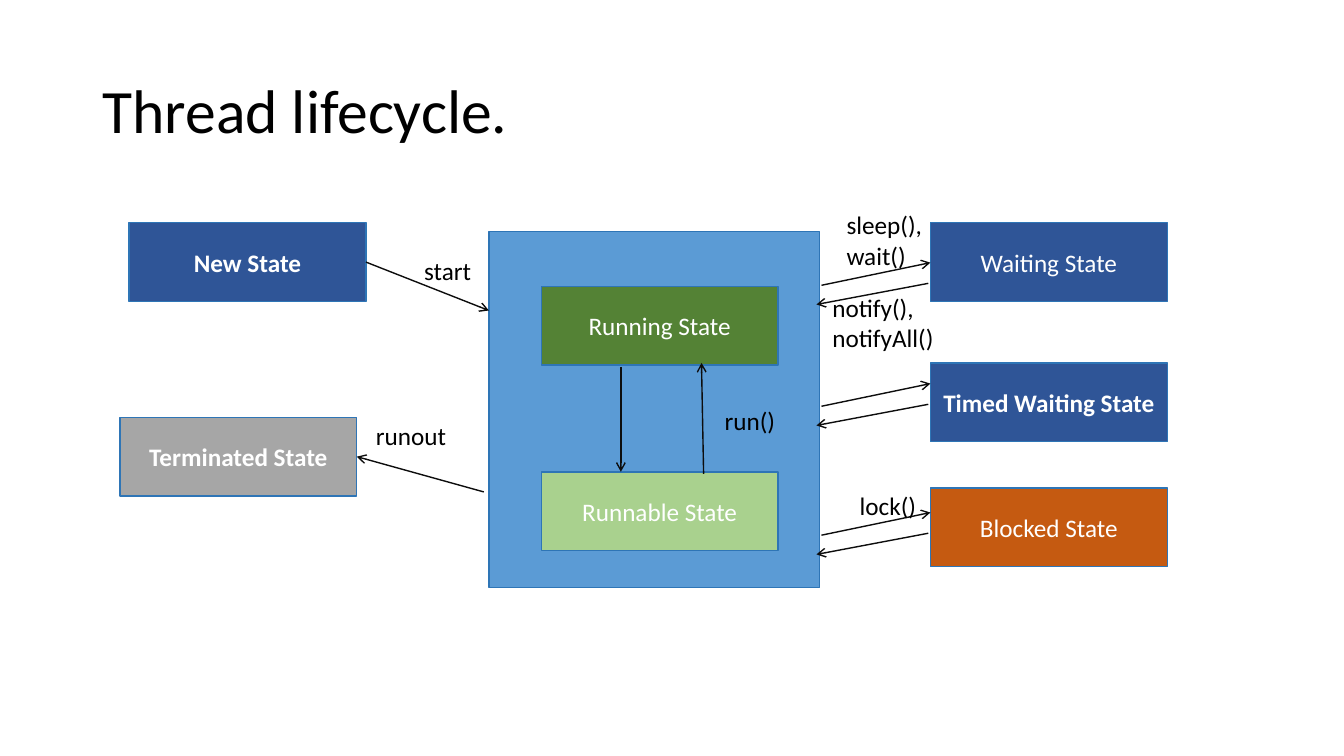
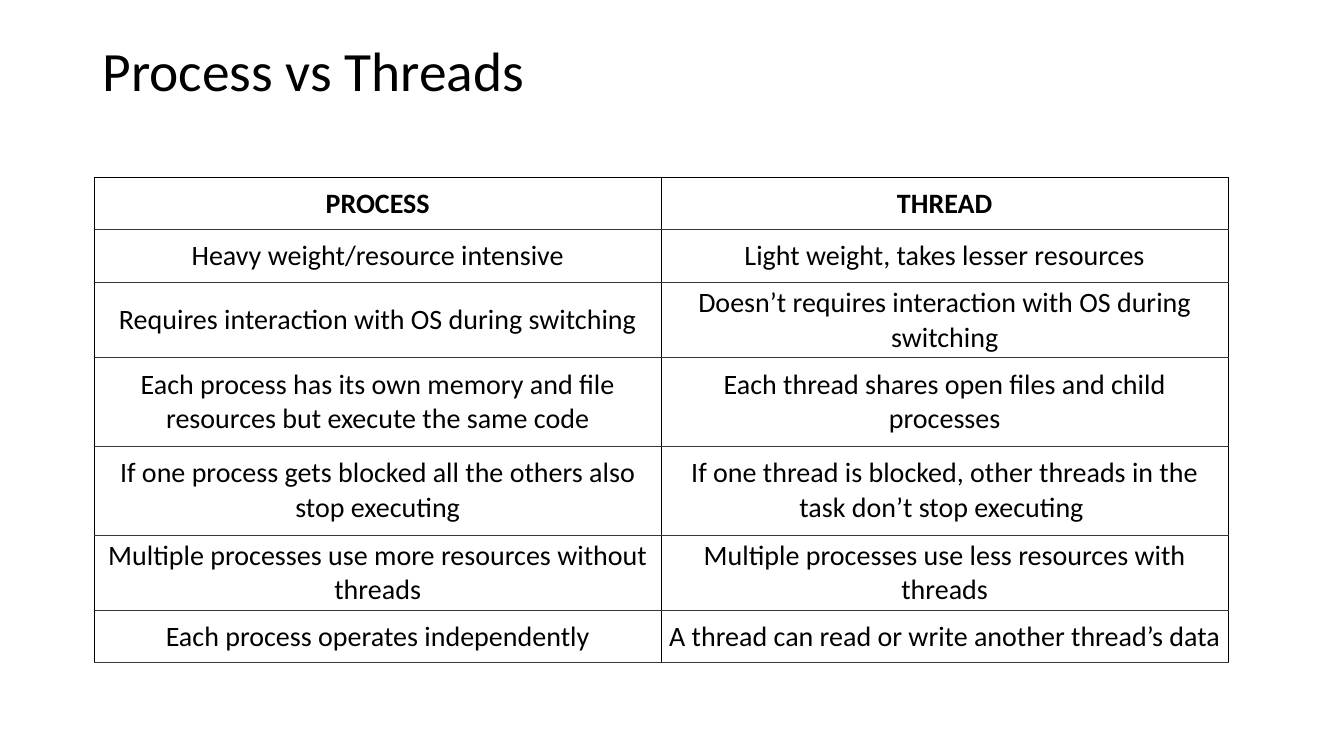
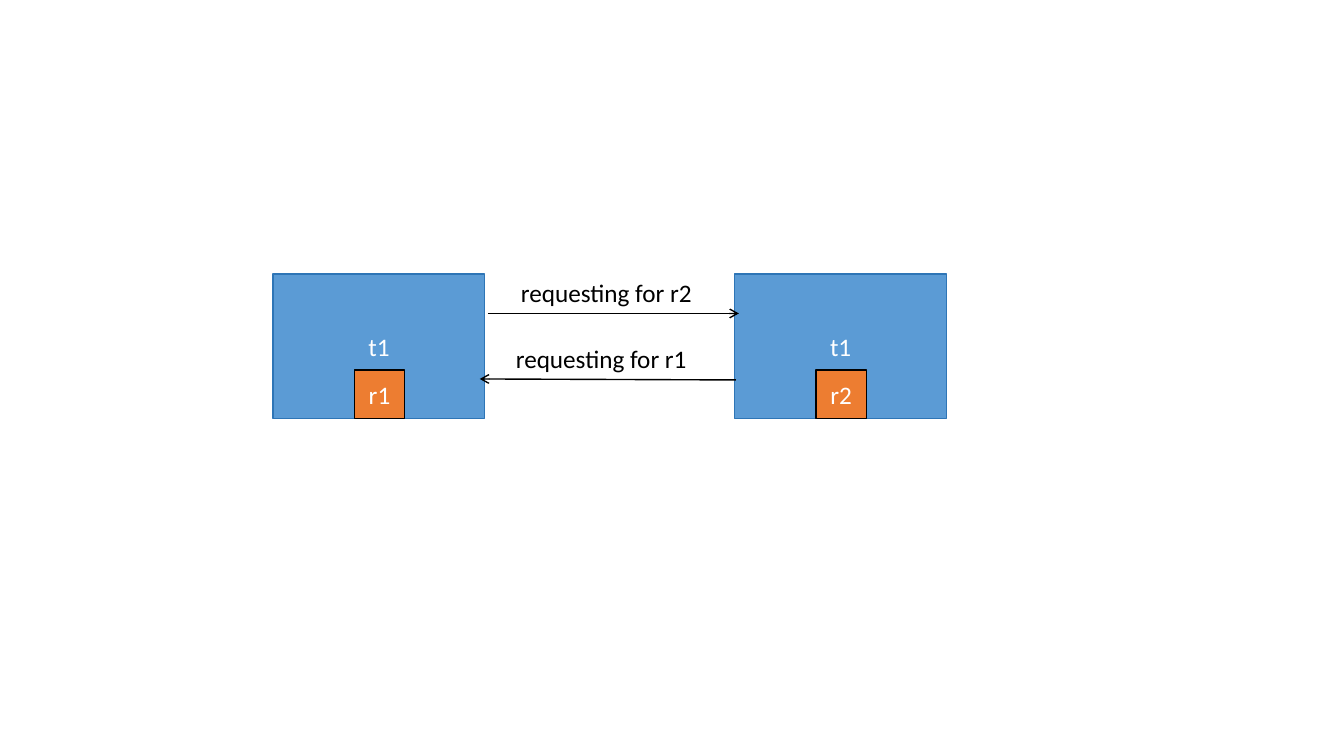
"""Build three slides on threads: lifecycle, comparison with processes, and deadlock."""
from dataclasses import dataclass
from typing import NamedTuple

from lxml.etree import SubElement
from pptx import Presentation
from pptx.dml.color import RGBColor
from pptx.enum.shapes import MSO_CONNECTOR, MSO_SHAPE
from pptx.enum.text import MSO_ANCHOR, MSO_AUTO_SIZE, PP_ALIGN
from pptx.oxml.ns import qn
from pptx.slide import Slide
from pptx.table import _Cell
from pptx.text.text import TextFrame
from pptx.util import Pt

FONT = "Calibri"
COLORS = {
    "black": "000000",
    "white": "FFFFFF",
    "arrow": "0D0D0D",
    "rule": "34383A",
    "outline": "2E75B6",
    "blue": "5B9BD5",
    "navy": "2F5597",
    "green": "548235",
    "light green": "A9D18E",
    "rust": "C55A11",
    "gray": "A6A6A6",
    "orange": "ED7D31",
}
STATE_WIDTH, STATE_HEIGHT = 169.2, 56.2
THREAD_WIDTH, THREAD_HEIGHT = 151.2, 103
COMPARISON = [
    ("PROCESS", "THREAD"),
    ("Heavy weight/resource intensive", "Light weight, takes lesser resources"),
    ("Requires interaction with OS during switching",
     "Doesn’t requires interaction with OS during switching"),
    ("Each process has its own memory and file resources but execute the same code",
     "Each thread shares open files and child processes"),
    ("If one process gets blocked all the others also stop executing",
     "If one thread is blocked, other threads in the task don’t stop executing "),
    ("Multiple processes use more resources without threads",
     "Multiple processes use less resources with threads"),
    ("Each process operates independently",
     "A thread can read or write another thread’s data"),
]
ROW_HEIGHTS = [37.4, 37.4, 39.6, 63.4, 63.4, 42.5, 37.4]
COLUMN_WIDTH = 405


@dataclass
class Box:
    """A filled rectangle with centred text."""

    text: str
    left: float
    top: float
    fill: str
    width: float = STATE_WIDTH
    height: float = STATE_HEIGHT
    bold: bool = False
    outline: str = "outline"


class Label(NamedTuple):
    """A caption beside an arrow."""

    text: str
    left: float
    top: float
    width: float
    height: float = 28.8


class Arrow(NamedTuple):
    """A straight arrow from one point to another."""

    x1: float
    y1: float
    x2: float
    y2: float


def rgb(color: str) -> RGBColor:
    """Look up a named colour."""
    return RGBColor.from_string(COLORS[color])


def write(frame: TextFrame, text: str, size: float = 18, color: str = "black",
          bold: bool = False, align: PP_ALIGN = PP_ALIGN.LEFT) -> None:
    """Set one paragraph of text and format it."""
    frame.word_wrap = True
    frame.text = text
    paragraph = frame.paragraphs[0]
    paragraph.alignment = align
    for run in paragraph.runs:
        run.font.name = FONT
        run.font.size = Pt(size)
        run.font.bold = bold
        run.font.color.rgb = rgb(color)


def draw_title(slide: Slide, text: str, height: float, size: float) -> None:
    """Draw the slide title in its shared position."""
    frame = slide.shapes.add_textbox(Pt(66.2), Pt(28.8), Pt(828), Pt(height)).text_frame
    write(frame, text, size)
    frame.vertical_anchor = MSO_ANCHOR.MIDDLE
    frame.paragraphs[0].line_spacing = 0.9


def draw_box(slide: Slide, box: Box) -> None:
    """Draw a rectangle and its text, if any."""
    shape = slide.shapes.add_shape(MSO_SHAPE.RECTANGLE, Pt(box.left), Pt(box.top),
                                   Pt(box.width), Pt(box.height))
    shape.shadow.inherit = False
    shape.fill.solid()
    shape.fill.fore_color.rgb = rgb(box.fill)
    shape.line.color.rgb = rgb(box.outline)
    shape.line.width = Pt(1)
    if box.text:
        write(shape.text_frame, box.text, color="white", bold=box.bold,
              align=PP_ALIGN.CENTER)
        shape.text_frame.vertical_anchor = MSO_ANCHOR.MIDDLE


def draw_label(slide: Slide, label: Label) -> None:
    """Draw a caption that grows with its text."""
    frame = slide.shapes.add_textbox(Pt(label.left), Pt(label.top), Pt(label.width),
                                     Pt(label.height)).text_frame
    write(frame, label.text)
    frame.auto_size = MSO_AUTO_SIZE.SHAPE_TO_FIT_TEXT


def draw_arrow(slide: Slide, arrow: Arrow, color: str) -> None:
    """Draw a thin line with an open arrowhead at its end."""
    connector = slide.shapes.add_connector(
        MSO_CONNECTOR.STRAIGHT, Pt(arrow.x1), Pt(arrow.y1), Pt(arrow.x2), Pt(arrow.y2))
    connector.line.color.rgb = rgb(color)
    connector.line.width = Pt(1)
    SubElement(connector.line._get_or_add_ln(), qn("a:tailEnd"), type="arrow")
    SubElement(connector._element.spPr, qn("a:effectLst"))


def exchange(y: float) -> list[Arrow]:
    """Return the arrows to and from a state on the right."""
    return [Arrow(586.8, y, 664.6, y - 16.2), Arrow(663.1, y - 1.4, 583.2, y + 13.7)]


def draw_border(cell: _Cell, side: str, color: str, width: float) -> None:
    """Add one border line to a table cell."""
    line = SubElement(cell._tc.get_or_add_tcPr(), qn(f"a:ln{side}"), w=str(Pt(width)))
    fill = SubElement(line, qn("a:solidFill"))
    SubElement(fill, qn("a:srgbClr"), val=COLORS[color])


def draw_cell(cell: _Cell, text: str, header: bool) -> None:
    """Fill in and format one table cell."""
    write(cell.text_frame, text, 20, bold=header, align=PP_ALIGN.CENTER)
    cell.vertical_anchor = MSO_ANCHOR.MIDDLE
    cell.margin_left = cell.margin_right = cell.margin_top = cell.margin_bottom = Pt(2.9)
    draw_border(cell, "L", "black", 0.75)
    draw_border(cell, "R", "black", 0.75)
    draw_border(cell, "T", *(("black", 0.75) if header else ("rule", 0.6)))
    draw_border(cell, "B", "rule", 0.6)
    cell.fill.background()


def build_lifecycle(slide: Slide) -> None:
    """Draw the thread states and the transitions between them."""
    draw_title(slide, "Thread lifecycle.", 104.4, 44)
    states = [
        Box("", 349.2, 165.6, "blue", 236.2, 254.2),
        Box("Running State", 386.6, 204.5, "green"),
        Box("Runnable State", 386.6, 337, "light green"),
        Box("Waiting State", 664.6, 159.1, "navy"),
        Box("Timed Waiting State", 664.6, 259.2, "navy", bold=True),
        Box("Blocked State", 664.6, 348.5, "rust"),
        Box("New State", 92.2, 159.1, "navy", bold=True),
        Box("Terminated State", 85.7, 298.1, "gray", bold=True),
    ]
    transitions = [
        Arrow(443.5, 262.1, 443.5, 337),
        Arrow(502.6, 338.4, 501.1, 259.2),
        Arrow(261.4, 187.2, 349.2, 221.8),
        Arrow(345.6, 351.4, 254.9, 326.2),
        *exchange(203.8),
        *exchange(290.2),
        *exchange(382.3),
    ]
    calls = [
        Label("start", 295.9, 178.6, 57.6),
        Label("runout", 261.4, 296.6, 97.2),
        Label("notify(), notifyAll()", 587.5, 205.2, 98.6, 51.1),
        Label("run()", 510.5, 285.8, 77),
        Label("sleep(), wait()", 597.6, 146.2, 77, 51.1),
        Label("lock()", 607, 347, 98.6),
    ]
    for state in states:
        draw_box(slide, state)
    for transition in transitions:
        draw_arrow(slide, transition, "arrow")
    for call in calls:
        draw_label(slide, call)


def build_comparison(slide: Slide) -> None:
    """Draw the table that compares processes with threads."""
    draw_title(slide, "Process vs Threads", 48.2, 39.6)
    table = slide.shapes.add_table(len(COMPARISON), 2, Pt(67.3), Pt(126.7),
                                   Pt(2 * COLUMN_WIDTH), Pt(sum(ROW_HEIGHTS))).table
    table.first_row = table.horz_banding = False
    for column in table.columns:
        column.width = Pt(COLUMN_WIDTH)
    for index, (texts, height) in enumerate(zip(COMPARISON, ROW_HEIGHTS)):
        row = table.rows[index]
        row.height = Pt(height)
        for cell, text in zip(row.cells, texts):
            draw_cell(cell, text, header=index == 0)


def build_deadlock(slide: Slide) -> None:
    """Draw two threads that each request the resource of the other."""
    for left, resource in ((195.1, "r1"), (524.9, "r2")):
        draw_box(slide, Box("t1", left, 195.8, "blue", THREAD_WIDTH, THREAD_HEIGHT))
        draw_box(slide, Box(resource, left + 58, 264.2, "orange", 36, 34.6,
                            outline="black"))
    requests = [
        (Arrow(348.5, 223.9, 527.8, 223.9), Label("requesting for r2", 365, 194.4, 149)),
        (Arrow(525.6, 271.4, 342.7, 270.7), Label("requesting for r1", 361.4, 241.9, 149)),
    ]
    for arrow, label in requests:
        draw_arrow(slide, arrow, "black")
        draw_label(slide, label)


def main() -> None:
    """Build and save the presentation."""
    presentation = Presentation()
    presentation.slide_width, presentation.slide_height = Pt(960), Pt(540)
    blank = presentation.slide_layouts[6]
    for build in (build_lifecycle, build_comparison, build_deadlock):
        build(presentation.slides.add_slide(blank))
    presentation.save("out.pptx")


if __name__ == "__main__":
    main()
